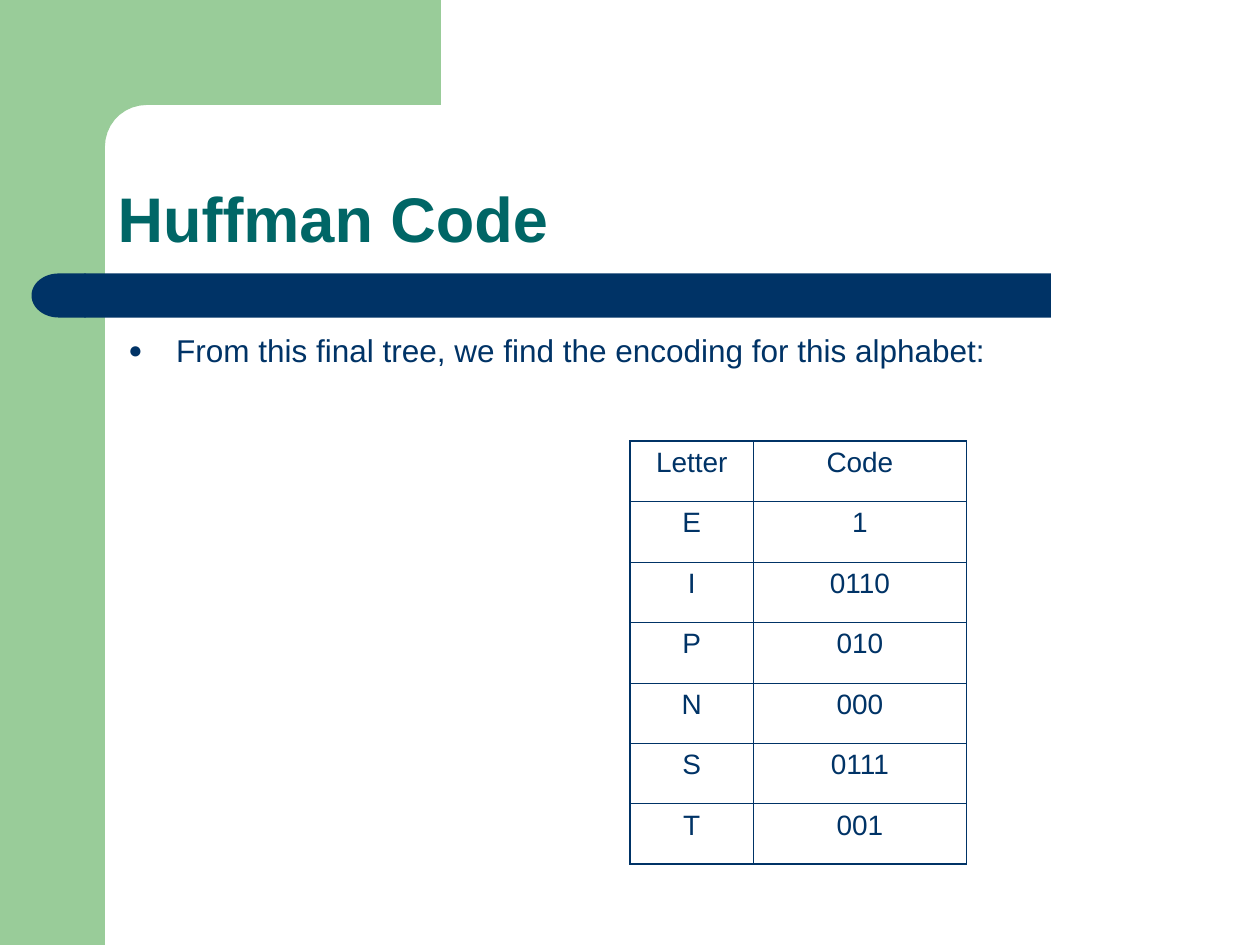
from math import cos, sin, radians
from lxml.etree import SubElement
from pptx import Presentation
from pptx.dml.color import RGBColor
from pptx.enum.shapes import MSO_SHAPE
from pptx.enum.text import MSO_ANCHOR, MSO_AUTO_SIZE, PP_ALIGN
from pptx.oxml import parse_xml
from pptx.oxml.ns import nsdecls, qn
from pptx.util import Inches, Pt

TITLE = "Huffman Code"
POINT = "From this final tree, we find the encoding for this alphabet: "
CODES = [("Letter", "Code"), ("E", "1"), ("I", "0110"), ("P", "010"),
         ("N", "000"), ("S", "0111"), ("T", "001")]

GREEN, NAVY, TEAL = "99CC99", "003366", "006666"
WIDE, HIGH = 10, 7.5
BAND = WIDE / 12
BAR_TOP, BAR_HIGH = 2.17, 0.35
COLS, ROW = (0.98, 1.69), 0.48
THICK, THIN = 1.08, 0.45


def color(code):
    """Turn a hex string into a colour."""
    return RGBColor.from_string(code)


def paint(shape, code):
    """Give a shape a flat fill without line or shadow."""
    shape.fill.solid()
    shape.fill.fore_color.rgb = color(code)
    shape.line.fill.background()
    shape.shadow.inherit = False
    return shape


def block(kind, box, code):
    """Add a preset shape; box is left, top, width, height in inches."""
    return paint(slide.shapes.add_shape(kind, *map(Inches, box)), code)


def write(frame, text, size=18, code=NAVY, bold=False, align=PP_ALIGN.LEFT,
          before=0, line=1.0):
    """Write one formatted paragraph and return it."""
    para = frame.paragraphs[0]
    para.alignment, para.line_spacing = align, line
    para.space_before = Pt(before)
    run = para.add_run()
    run.text = text
    font = run.font
    font.name, font.size, font.bold = "Arial", Pt(size), bold
    font.color.rgb = color(code)
    return para


def place(shape, box, anchor):
    """Set a text shape's box, wrapping and anchor."""
    shape.left, shape.top, shape.width, shape.height = map(Inches, box)
    frame = shape.text_frame
    frame.word_wrap, frame.auto_size = True, MSO_AUTO_SIZE.NONE
    frame.vertical_anchor = anchor
    return frame


def bullet(para, indent):
    """Give a paragraph a hanging round bullet."""
    props = para._p.get_or_add_pPr()
    props.set("marL", str(Inches(indent)))
    props.set("indent", str(-Inches(indent)))
    tint = SubElement(props, qn("a:buClr"))
    SubElement(tint, qn("a:srgbClr"), val=NAVY)
    SubElement(props, qn("a:buSzPct"), val="75000")
    SubElement(props, qn("a:buFont"), typeface="Arial")
    SubElement(props, qn("a:buChar"), char="●")


def border(cell, outer):
    """Draw the four cell edges, thicker where the edge is outer."""
    props = cell._tc.get_or_add_tcPr()
    for spot, side in enumerate("LRTB"):
        width = Pt(THICK if side in outer else THIN)
        props.insert(spot, parse_xml(
            f'<a:ln{side} {nsdecls("a")} w="{width}"><a:solidFill>'
            f'<a:srgbClr val="{NAVY}"/></a:solidFill></a:ln{side}>'))


def corner():
    """Add the green top band with its rounded inner corner."""
    edge, bend, base = 3.5, 0.33, 1.28
    mid = BAND + bend
    arc = [(mid + bend * cos(radians(a)), mid - bend * sin(radians(a)))
           for a in range(90, 181, 10)]
    dots = [(edge, BAND), *arc, (BAND, base), (0.5, base), (0.5, 0)]
    form = slide.shapes.build_freeform(Inches(edge), 0)
    form.add_line_segments([(Inches(x), Inches(y)) for x, y in dots])
    paint(form.convert_to_shape(), GREEN)


def grid(left, top):
    """Add the code table."""
    table = slide.shapes.add_table(
        len(CODES), len(COLS), Inches(left), Inches(top),
        Inches(sum(COLS)), Inches(ROW * len(CODES))).table
    table.first_row = table.horz_banding = False
    for col, width in zip(table.columns, COLS):
        col.width = Inches(width)
    for r, words in enumerate(CODES):
        for c, word in enumerate(words):
            cell = table.cell(r, c)
            cell.fill.background()
            write(cell.text_frame, word, size=16, before=4,
                  align=PP_ALIGN.CENTER)
            outer = "LR"[c] + {0: "T", len(CODES) - 1: "B"}.get(r, "")
            border(cell, outer)


deck = Presentation()
deck.slide_width, deck.slide_height = Inches(WIDE), Inches(HIGH)
slide = deck.slides.add_slide(deck.slide_layouts[5])

block(MSO_SHAPE.RECTANGLE, (0, 0, BAND, HIGH), GREEN)
corner()
bar = block(MSO_SHAPE.ROUNDED_RECTANGLE, (0.67, BAR_TOP, 7.67, BAR_HIGH), NAVY)
bar.adjustments[0] = 0
cap = block(MSO_SHAPE.FLOWCHART_DELAY, (0.25, BAR_TOP, 0.43, BAR_HIGH), NAVY)
cap.rotation = 180

title = slide.shapes.title
title.element.getparent().append(title.element)
head = place(title, (BAND, BAND, 8.67, 1.25), MSO_ANCHOR.BOTTOM)
write(head, TITLE, size=36, code=TEAL, bold=True, line=0.9)

box = (0.92, 2.58, 8.41, 4.07)
body = place(slide.shapes.add_textbox(*map(Inches, box)), box, MSO_ANCHOR.TOP)
bullet(write(body, POINT, before=4.5), 0.38)

grid(WIDE / 2, 3.5)
deck.save("out.pptx")
